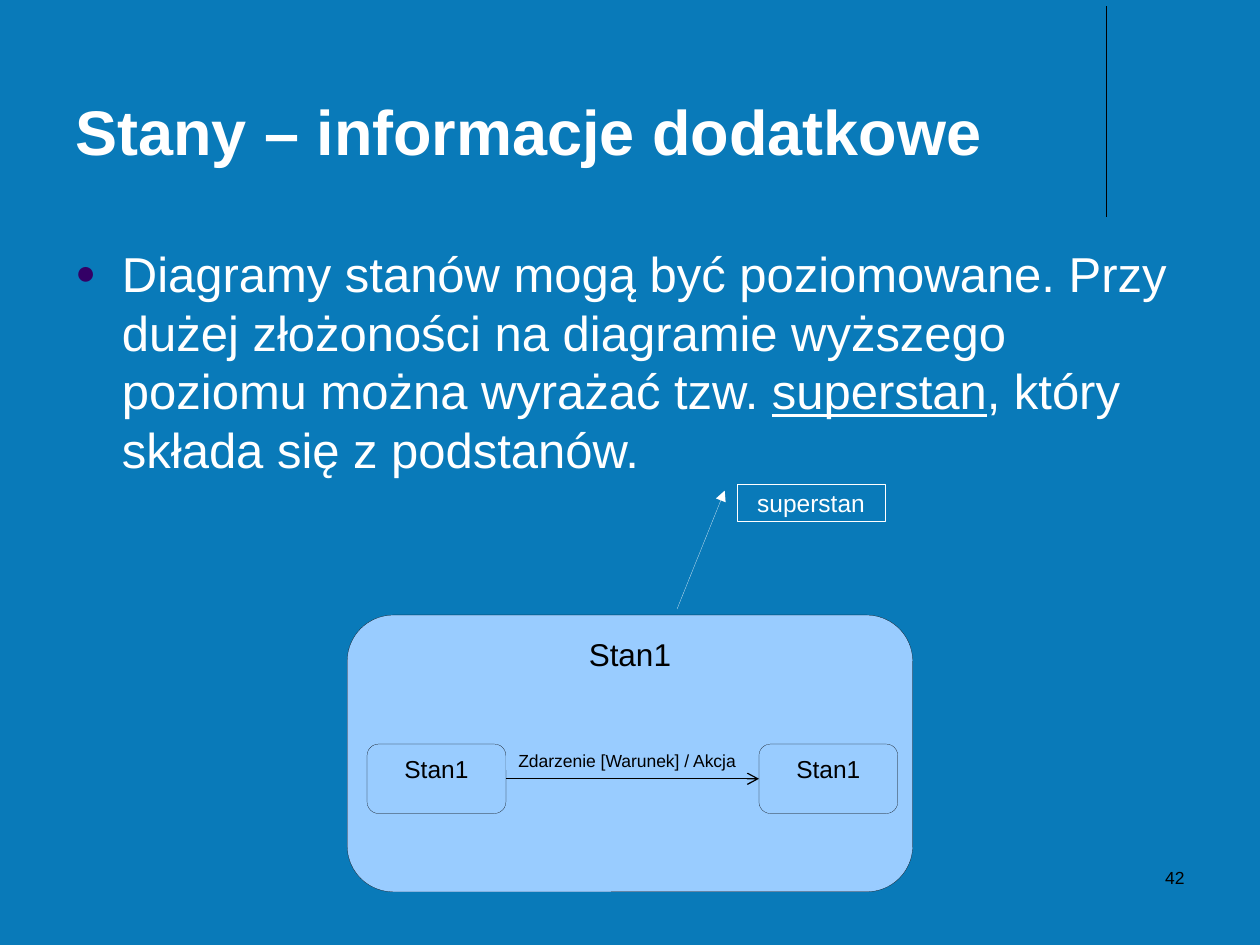
from dataclasses import dataclass

from lxml.etree import SubElement
from pptx import Presentation
from pptx.dml.color import RGBColor
from pptx.enum.shapes import MSO_CONNECTOR, MSO_SHAPE
from pptx.enum.text import MSO_ANCHOR, PP_ALIGN
from pptx.oxml.ns import qn
from pptx.util import Cm, Pt


@dataclass(frozen=True)
class Theme:
    font: str = "Arial"
    background: RGBColor = RGBColor(0x09, 0x7A, 0xB9)
    light: RGBColor = RGBColor(0xFF, 0xFF, 0xFF)
    dark: RGBColor = RGBColor(0x00, 0x00, 0x00)
    state: RGBColor = RGBColor(0x99, 0xCC, 0xFF)
    bullet: str = "330066"
    title_size: int = 36
    body_size: int = 28
    superstate_size: int = 18
    state_size: int = 14
    small_size: int = 10
    hairline: float = 0.1
    rule: float = 0.75


THEME = Theme()


def style(para, size, color, align=PP_ALIGN.LEFT, bold=False):
    para.alignment = align
    para.font.name = THEME.font
    para.font.size = Pt(size)
    para.font.color.rgb = color
    para.font.bold = bold


def add_text(page, area, text, size, color, wrap=True,
             anchor=MSO_ANCHOR.TOP, **options):
    box = page.shapes.add_textbox(*map(Cm, area))
    frame = box.text_frame
    frame.word_wrap = wrap
    frame.vertical_anchor = anchor
    frame.text = text
    style(frame.paragraphs[0], size, color, **options)


def add_bullet(para):
    properties = para._p.get_or_add_pPr()
    properties.set("marL", str(Cm(0.94)))
    properties.set("indent", str(-Cm(0.94)))
    color = SubElement(properties, qn("a:buClr"))
    SubElement(color, qn("a:srgbClr"), val=THEME.bullet)
    SubElement(properties, qn("a:buSzPct"), val="70000")
    SubElement(properties, qn("a:buFont"), typeface=THEME.font)
    SubElement(properties, qn("a:buChar"), char="●")


def add_body(page, area, pieces):
    """Add a bulleted paragraph from (text, underlined) pieces."""
    frame = page.shapes.add_textbox(*map(Cm, area)).text_frame
    frame.word_wrap = True
    para = frame.paragraphs[0]
    add_bullet(para)
    style(para, THEME.body_size, THEME.light)
    for text, underlined in pieces:
        span = para.add_run()
        span.text = text
        if underlined:
            span.font.underline = True


def add_labelled_shape(page, kind, area, text, size, color, fill=None,
                       anchor=MSO_ANCHOR.TOP, wrap=True):
    shape = page.shapes.add_shape(kind, *map(Cm, area))
    shape.shadow.inherit = False
    if fill is None:
        shape.fill.background()
    else:
        shape.fill.solid()
        shape.fill.fore_color.rgb = fill
    shape.line.color.rgb = color
    shape.line.width = Pt(THEME.hairline)
    frame = shape.text_frame
    frame.word_wrap = wrap
    frame.vertical_anchor = anchor
    frame.text = text
    style(frame.paragraphs[0], size, color, PP_ALIGN.CENTER)
    return shape


def add_state(page, area, text, size):
    return add_labelled_shape(page, MSO_SHAPE.ROUNDED_RECTANGLE, area, text,
                              size, THEME.dark, THEME.state)


def add_callout(page, area, text, adjustments):
    callout = add_labelled_shape(
        page, MSO_SHAPE.LINE_CALLOUT_1, area, text, THEME.state_size,
        THEME.light, anchor=MSO_ANCHOR.MIDDLE, wrap=False)
    for index, value in enumerate(adjustments):
        callout.adjustments[index] = value
    add_arrowhead(callout, "a:headEnd", "triangle")


def add_arrowhead(shape, end, kind):
    SubElement(shape.line._get_or_add_ln(), qn(end), type=kind)


def add_line(page, start, end):
    line = page.shapes.add_connector(
        MSO_CONNECTOR.STRAIGHT, *map(Cm, (*start, *end)))
    line.line.color.rgb = THEME.dark
    line.line.width = Pt(THEME.rule)
    SubElement(line._element.spPr, qn("a:effectLst"))
    return line


def main():
    deck = Presentation()
    deck.slide_width, deck.slide_height = Cm(25.4), Cm(19.05)
    page = deck.slides.add_slide(deck.slide_layouts[6])
    page.background.fill.solid()
    page.background.fill.fore_color.rgb = THEME.background

    # Heading and its vertical rule
    add_line(page, (22.3, 0.13), (22.3, 4.37))
    add_text(page, (1.27, 0.33, 20.96, 3.18), "Stany – informacje dodatkowe",
             THEME.title_size, THEME.light, anchor=MSO_ANCHOR.BOTTOM, bold=True)

    # Explanation
    add_body(page, (1.27, 4.78, 22.86, 5.54), [
        ("Diagramy stanów mogą być poziomowane. Przy dużej złożoności na "
         "diagramie wyższego poziomu można wyrażać tzw. ", False),
        ("superstan", True),
        (", który składa się z podstanów.", False),
    ])

    # Superstate with its callout
    add_callout(page, (14.85, 9.75, 3.0, 0.75), "superstan",
                (0.19, -0.08, 3.37, -0.4))
    add_state(page, (7.0, 12.4, 11.4, 5.58), "Stan1", THEME.superstate_size)

    # Substates and the transition between them
    source, target = [
        add_state(page, (left, 15.0, 2.8, 1.4), "Stan1", THEME.state_size)
        for left in (7.4, 15.3)
    ]
    transition = add_line(page, (10.2, 15.7), (15.3, 15.7))
    transition.begin_connect(source, 3)
    transition.end_connect(target, 1)
    add_arrowhead(transition, "a:tailEnd", "arrow")
    add_text(page, (10.2, 15.0, 4.94, 0.69), "Zdarzenie [Warunek] / Akcja",
             THEME.small_size, THEME.dark, wrap=False)

    # Page number
    add_text(page, (18.2, 17.35, 5.93, 1.27), "42",
             THEME.small_size, THEME.dark, align=PP_ALIGN.RIGHT)

    deck.save("out.pptx")


if __name__ == "__main__":
    main()
